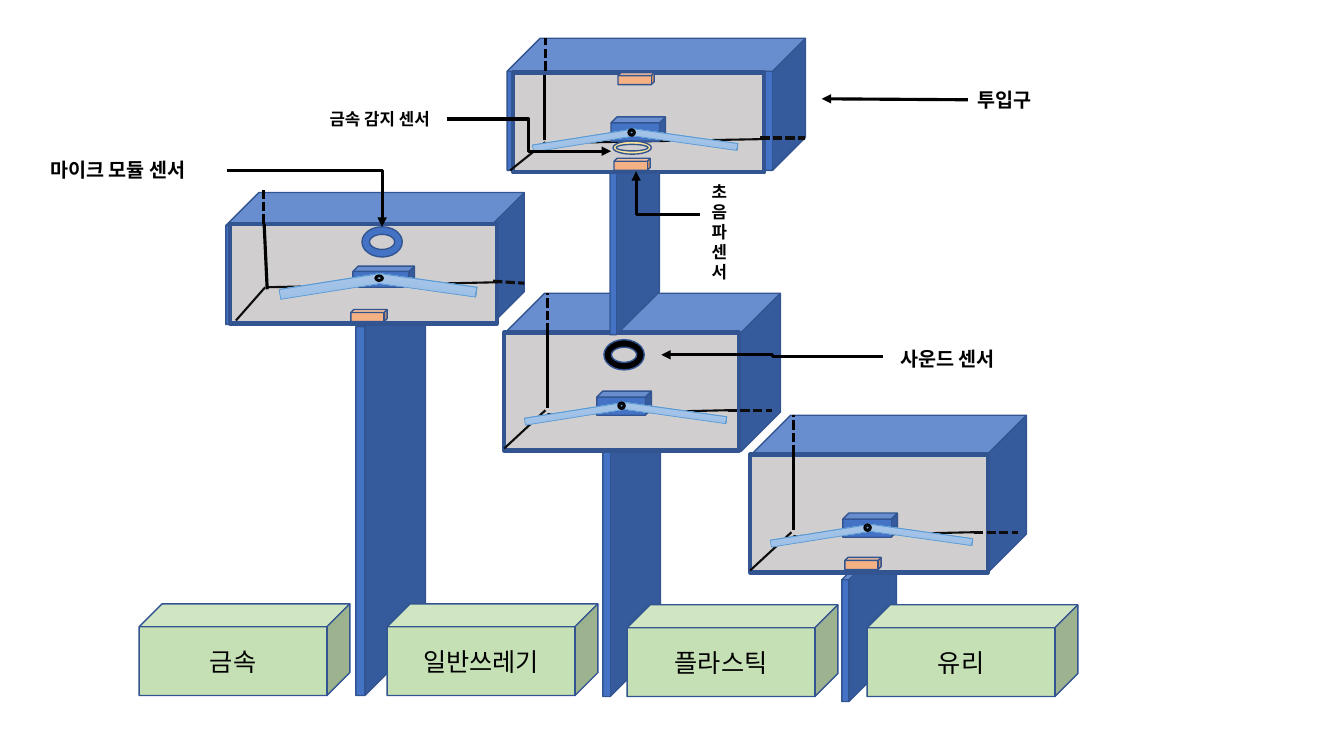
from dataclasses import dataclass, replace
from typing import NamedTuple, Optional

from lxml import etree
from pptx import Presentation
from pptx.dml.color import RGBColor
from pptx.enum.dml import MSO_LINE
from pptx.enum.shapes import MSO_CONNECTOR, MSO_SHAPE
from pptx.enum.text import MSO_ANCHOR, MSO_AUTO_SIZE, PP_ALIGN
from pptx.oxml.ns import qn
from pptx.util import Inches, Pt

CUBE, RECT, RING = MSO_SHAPE.CUBE, MSO_SHAPE.RECTANGLE, MSO_SHAPE.DONUT
STRAIGHT, ELBOW = MSO_CONNECTOR.STRAIGHT, MSO_CONNECTOR.ELBOW
DASH = MSO_LINE.SQUARE_DOT
CENTER, MIDDLE = PP_ALIGN.CENTER, MSO_ANCHOR.MIDDLE
GROW = MSO_AUTO_SIZE.SHAPE_TO_FIT_TEXT
LEFT_SIDE, RIGHT_SIDE = 1, 3


@dataclass(frozen=True)
class Theme:
    font: str = "Noto Sans CJK KR"
    blue: str = "4472C4"
    outline: str = "325491"
    front: str = "D0CECE"
    bin: str = "C5E0B4"
    sensor: str = "F4B183"
    metal_sensor: str = "FFE699"
    pivot: str = "333F50"
    flap_top: str = "B1CBE9"
    flap_bottom: str = "93B9E4"
    flap_outline: str = "5B9BD5"
    black: str = "000000"
    edge: str = "0D0D0D"
    bin_size: int = 18
    label_size: int = 14
    small_size: int = 12
    thin: float = 1.5
    thick: float = 2.25


THEME = Theme()


class Box(NamedTuple):
    left: float
    top: float
    width: float
    height: float


class Segment(NamedTuple):
    x1: float
    y1: float
    x2: float
    y2: float


@dataclass(frozen=True)
class Chamber:
    """One sorting chamber; parts are measured from the body's corner."""
    left: float
    top: float
    body: tuple[float, float]
    front: Box
    floor: Segment
    slope: Segment
    upright: Segment
    hidden_top: Segment
    hidden_side: Segment
    hub: Box
    left_flap: Box
    right_flap: Box
    pivot: Box


@dataclass(frozen=True)
class Callout:
    text: str
    box: Box
    size: int
    arrow: Segment
    kind: int = ELBOW
    one_bend: bool = False
    joined_side: Optional[int] = None


prs = Presentation()
prs.slide_width, prs.slide_height = Inches(13.33), Inches(7.5)
slide = prs.slides.add_slide(prs.slide_layouts[6])


def color(value: str) -> RGBColor:
    return RGBColor.from_string(value)


def draw_shape(kind: int, box: Box, fill: str, outline: str = THEME.outline,
               weight: float = 1, adj: Optional[float] = None):
    shape = slide.shapes.add_shape(kind, *map(Inches, box))
    shape.shadow.inherit = False
    shape.fill.solid()
    shape.fill.fore_color.rgb = color(fill)
    shape.line.color.rgb = color(outline)
    shape.line.width = Pt(weight)
    if adj is not None:
        shape.adjustments[0] = adj
    return shape


def draw_line(seg: Segment, value: str, weight: float, kind: int = STRAIGHT,
              dashed: bool = False):
    line = slide.shapes.add_connector(kind, *map(Inches, seg))
    line.line.color.rgb = color(value)
    line.line.width = Pt(weight)
    if dashed:
        line.line.dash_style = DASH
    etree.SubElement(line.element.spPr, qn("a:effectLst"))
    return line


def write(shape, text: str, size: int, bold: bool = False) -> None:
    paragraph = shape.text_frame.paragraphs[0]
    paragraph.text = text
    font = paragraph.runs[0].font
    font.name, font.size, font.bold = THEME.font, Pt(size), bold
    font.color.rgb = color(THEME.black)
    props = paragraph.runs[0].font._element
    etree.SubElement(props, qn("a:ea")).set("typeface", THEME.font)


def draw_flap(box: Box, angle: float) -> None:
    flap = draw_shape(CUBE, box, THEME.flap_top, THEME.flap_outline, 0.5, 0.036)
    flap.rotation = angle
    flap.fill.gradient()
    flap.fill.gradient_angle = 270
    for stop, value in zip(flap.fill.gradient_stops,
                           (THEME.flap_top, THEME.flap_bottom)):
        stop.color.rgb = color(value)


def draw_chamber(c: Chamber) -> None:
    def box(b: Box) -> Box:
        return Box(c.left + b.left, c.top + b.top, b.width, b.height)

    def seg(s: Segment) -> Segment:
        return Segment(c.left + s.x1, c.top + s.y1, c.left + s.x2, c.top + s.y2)

    draw_shape(CUBE, Box(c.left, c.top, *c.body), THEME.blue)
    draw_shape(RECT, box(c.front), THEME.front, weight=3)
    draw_line(seg(c.floor), THEME.edge, THEME.thin)
    draw_line(seg(c.slope), THEME.edge, THEME.thin)
    draw_line(seg(c.hidden_top), THEME.black, THEME.thick, dashed=True)
    draw_line(seg(c.upright), THEME.black, THEME.thick)
    draw_line(seg(c.hidden_side), THEME.edge, THEME.thick, dashed=True)
    draw_shape(CUBE, box(c.hub), THEME.blue)
    draw_flap(box(c.left_flap), 351)
    draw_flap(box(c.right_flap), 8)
    draw_shape(RING, box(c.pivot), THEME.pivot, THEME.black)


def draw_callout(c: Callout) -> None:
    label = slide.shapes.add_textbox(*map(Inches, c.box))
    label.text_frame.word_wrap = True
    label.text_frame.auto_size = GROW
    write(label, c.text, c.size, bold=True)
    arrow = draw_line(c.arrow, THEME.black, THEME.thick, c.kind)
    if c.one_bend:
        arrow.element.spPr.find(qn("a:prstGeom")).set("prst", "bentConnector2")
    if c.joined_side is not None:
        arrow.begin_connect(label, c.joined_side)
    outline = arrow.element.spPr.find(qn("a:ln"))
    etree.SubElement(outline, qn("a:tailEnd")).set("type", "triangle")


metal = Chamber(
    2.24, 1.91, (2.96, 1.31), Box(0.04, 0.31, 2.65, 0.99),
    Segment(0.41, 0.94, 2.7, 0.89), Segment(0.1, 1.27, 0.39, 0.94),
    Segment(0.38, 0.31, 0.41, 0.96), Segment(0.37, 0.31, 0.37, -0.02),
    Segment(2.65, 0.88, 2.96, 0.9), Box(1.26, 0.73, 0.61, 0.21),
    Box(0.53, 0.88, 1.02, 0.1), Box(1.51, 0.87, 0.98, 0.1), Box(1.48, 0.82, 0.08, 0.06))
plastic = Chamber(
    5.01, 2.91, (2.73, 1.57), Box(-0.01, 0.39, 2.33, 1.17),
    Segment(0.42, 1.2, 2.21, 1.16), Segment(-0.01, 1.54, 0.4, 1.16),
    Segment(0.42, 0.39, 0.42, 1.14), Segment(0.42, 0.39, 0.42, 0),
    Segment(2.21, 1.16, 2.65, 1.16), Box(0.91, 0.97, 0.54, 0.24),
    Box(0.19, 1.16, 0.99, 0.07), Box(1.15, 1.15, 1.05, 0.07), Box(1.12, 1.08, 0.07, 0.07))
glass = replace(plastic, left=7.45, top=4.12, front=Box(-0.01, 0.39, 2.36, 1.17))
inlet = Chamber(
    5.03, 0.38, (2.96, 1.31), Box(0.06, 0.34, 2.49, 0.99),
    Segment(0.43, 1.04, 2.54, 1), Segment(0.03, 1.31, 0.38, 1.03),
    Segment(0.37, 0.36, 0.37, 1.01), Segment(0.38, 0.32, 0.38, 0),
    Segment(2.51, 0.99, 2.95, 0.99), Box(1.03, 0.78, 0.54, 0.24),
    Box(0.25, 0.98, 0.99, 0.07), Box(1.24, 0.97, 1.05, 0.07), Box(1.2, 0.9, 0.07, 0.07))

# Posts and chambers, back to front
POST_DEPTH = 0.871
for post in (Box(8.35, 5.28, 0.54, 1.68), Box(5.98, 3.98, 0.57, 2.93),
             Box(3.53, 2.64, 0.69, 4.26)):
    draw_shape(CUBE, post, THEME.blue, adj=POST_DEPTH)
for chamber in (metal, plastic, glass):
    draw_chamber(chamber)
draw_shape(CUBE, Box(6.05, 1.14, 0.49, 2.18), THEME.blue, adj=POST_DEPTH)
draw_chamber(inlet)

# Bins
for name, left, top in (("금속", 1.38, 5.99), ("일반쓰레기", 3.84, 5.99),
                        ("플라스틱", 6.22, 6), ("유리", 8.6, 6)):
    waste_bin = draw_shape(CUBE, Box(left, top, 2.09, 0.91), THEME.bin)
    write(waste_bin, name, THEME.bin_size)
    waste_bin.text_frame.vertical_anchor = MIDDLE
    waste_bin.text_frame.paragraphs[0].alignment = CENTER

# Sensors
for ring, fill in ((Box(3.59, 2.25, 0.4, 0.3), THEME.blue),
                   (Box(5.99, 3.37, 0.4, 0.3), THEME.black),
                   (Box(6.08, 1.4, 0.38, 0.13), THEME.metal_sensor)):
    draw_shape(RING, ring, fill)
for left, top in ((3.48, 3.07), (6.09, 1.57), (6.13, 0.72), (8.38, 5.53)):
    draw_shape(CUBE, Box(left, top, 0.36, 0.12), THEME.sensor)

# Labels with arrows
for callout in (
    Callout("금속 감지 센서", Box(3.17, 1.03, 1.45, 0.3), THEME.small_size,
            Segment(4.43, 1.18, 6.06, 1.5)),
    Callout("초음파 센서", Box(6.96, 1.75, 0.49, 0.11), THEME.small_size,
            Segment(6.94, 2.13, 6.31, 1.7), one_bend=True),
    Callout("투입구", Box(9.6, 0.82, 0.98, 0.34), THEME.label_size,
            Segment(9.6, 0.98, 8.15, 0.98), STRAIGHT, joined_side=LEFT_SIDE),
    Callout("마이크 모듈 센서", Box(0.4, 1.52, 1.85, 0.34), THEME.label_size,
            Segment(2.25, 1.69, 3.79, 2.25), one_bend=True, joined_side=RIGHT_SIDE),
    Callout("사운드 센서", Box(8.83, 3.39, 1.85, 0.34), THEME.label_size,
            Segment(8.76, 3.54, 6.56, 3.52)),
):
    draw_callout(callout)

prs.save("out.pptx")
